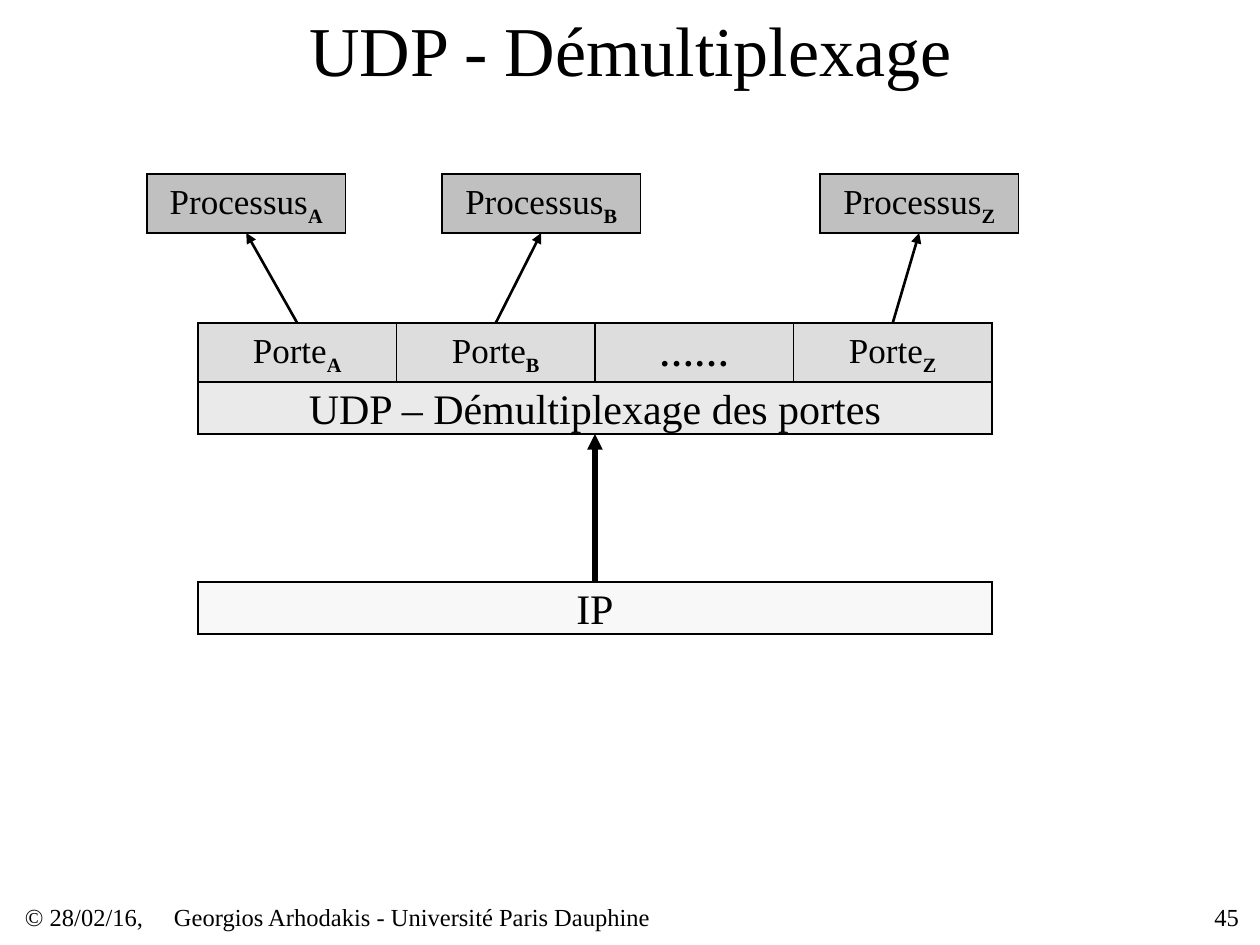
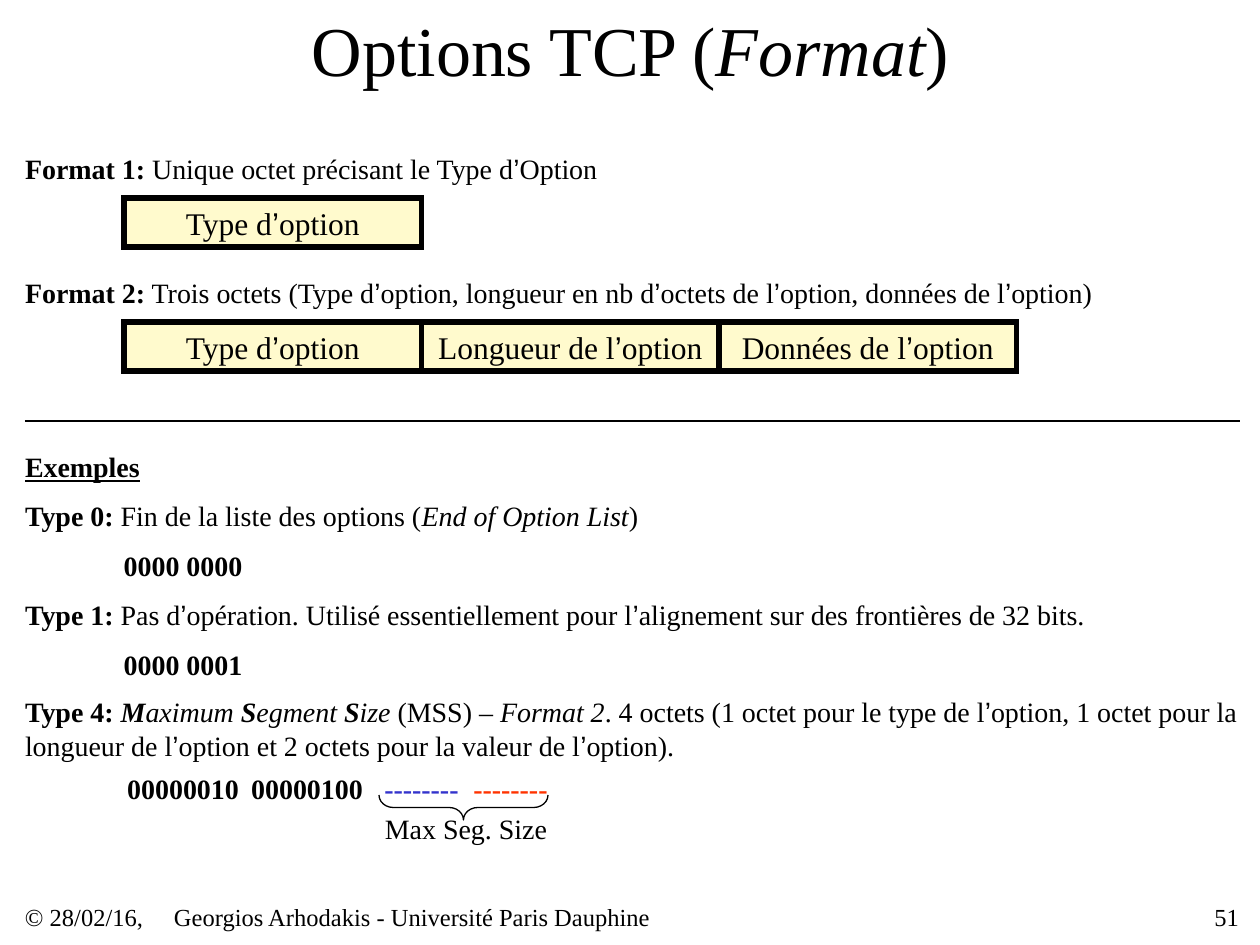
from itertools import groupby

from lxml.etree import SubElement
from pptx import Presentation
from pptx.dml.color import RGBColor
from pptx.enum.shapes import MSO_CONNECTOR, MSO_SHAPE
from pptx.enum.text import MSO_ANCHOR, PP_ALIGN
from pptx.oxml.ns import qn
from pptx.util import Emu, Inches, Pt

SERIF, SANS = "Times New Roman", "Arial"
BLACK = RGBColor(0x00, 0x00, 0x00)
SILVER = RGBColor(0xC0, 0xC0, 0xC0)
GREY = RGBColor(0xDD, 0xDD, 0xDD)
PALE = RGBColor(0xEA, 0xEA, 0xEA)
MIST = RGBColor(0xF8, 0xF8, 0xF8)
CREAM = RGBColor(0xFF, 0xFA, 0xCD)
BLUE = RGBColor(0x33, 0x33, 0xCC)
RED = RGBColor(0xFF, 0x33, 0x00)
LEFT, MID, RIGHT = PP_ALIGN.LEFT, PP_ALIGN.CENTER, PP_ALIGN.RIGHT

EDGE, WIDTH = 25, 1215  # page margin and text width
LINE = 39  # height of a line of text
SLACK = 6  # spare room on each side of a code


def px(*sizes):
    """Turn lengths at 126 px to the inch into EMU."""
    return [Emu(round(size * 914400 / 126)) for size in sizes]


def write(shape, runs, size, align=LEFT, color=BLACK, bold=None,
          inset=(0, 0, 0, 0)):
    """Fill a shape with runs: (text, style), style letters from b, i, u, s (subscript)."""
    frame = shape.text_frame
    frame.word_wrap = True
    frame.vertical_anchor = MSO_ANCHOR.MIDDLE
    (frame.margin_left, frame.margin_top,
     frame.margin_right, frame.margin_bottom) = px(*inset)
    para = frame.paragraphs[0]
    para.alignment = align
    font = para.font
    font.name, font.size, font.bold = SERIF, Pt(size), bold
    font.color.rgb = color
    for text, style in [(runs, "")] if isinstance(runs, str) else runs:
        for quote, chars in groupby(text, lambda char: char == "’"):
            run = para.add_run()
            run.text = "".join(chars)
            if quote:
                run.font.name = SANS
            if "b" in style:
                run.font.bold = True
            if "i" in style:
                run.font.italic = True
            if "u" in style:
                run.font.underline = True
            if "s" in style:
                run._r.get_or_add_rPr().set("baseline", "-25000")


def label(slide, box, runs, size=16, **look):
    write(slide.shapes.add_textbox(*px(*box)), runs, size, **look)


def block(slide, box, runs, size, fill, weight=0.75):
    shape = slide.shapes.add_shape(MSO_SHAPE.RECTANGLE, *px(*box))
    shape.shadow.inherit = False
    shape.fill.solid()
    shape.fill.fore_color.rgb = fill
    shape.line.color.rgb = BLACK
    shape.line.width = Pt(weight)
    SubElement(shape.line._get_or_add_ln(), qn("a:miter"), lim="800000")
    write(shape, runs, size, MID)


def link(slide, start, end, weight, arrow=True):
    line = slide.shapes.add_connector(MSO_CONNECTOR.STRAIGHT, *px(*start, *end))
    line.line.color.rgb = BLACK
    line.line.width = Pt(weight)
    if arrow:
        SubElement(line.line._get_or_add_ln(), qn("a:tailEnd"), type="triangle")
    SubElement(line._element.spPr, qn("a:effectLst"))


def page(deck, title, number):
    """Add a slide with its title and footer."""
    slide = deck.slides.add_slide(deck.slide_layouts[6])
    label(slide, (95, 0, 1071, 97), title, 40, align=MID, inset=(13, 6, 13, 6))
    for x, width, text, align in (
            (EDGE, 149, "© 28/02/16,", LEFT),
            (174, 743, "Georgios Arhodakis - Université Paris Dauphine", LEFT),
            (977, 262, number, RIGHT)):
        label(slide, (x, 902, width, 30), text, 14, align=align)
    return slide


def demux(slide, x, y, width):
    """Draw IP, UDP, the ports and, above them, the processes."""
    cell, tall, bar = width / 4, 59, 52
    ports, udp, ip = y + 149, y + 208, y + 408
    block(slide, (x, ip, width, bar), "IP", 24, MIST)
    block(slide, (x, udp, width, bar), "UDP – Démultiplexage des portes", 24, PALE)
    for slot, name, shift in ((0, "A", -51), (1, "B", 244), (2, "", 0), (3, "Z", 622)):
        left = x + slot * cell
        port = [("Porte", ""), (name, "bs")] if name else [("……", "b")]
        block(slide, (left, ports, cell, tall), port, 20, GREY)
        if name:
            top = x + shift
            block(slide, (top, y, cell, tall),
                  [("Processus", ""), (name, "bs")], 20, SILVER)
            link(slide, (left + cell / 2, ports), (top + cell / 2, y + tall), 1.5)
    link(slide, (x + width / 2, ip), (x + width / 2, udp + bar), 3)


def layout(slide, x, y, name, text, fields):
    """Describe one option format and draw its fields in a row."""
    cell = 595 / 2
    label(slide, (x, y, WIDTH, LINE), [(name, "b"), (text, "")])
    for slot, field in enumerate(fields):
        block(slide, (x + 99 + cell * slot, y + 49, cell, 49), field, 18, CREAM, 3)


def code(slide, left, top, text, width=118, color=BLACK):
    """Centre bits over a width, with slack so that they stay on one line."""
    label(slide, (left - SLACK, top, width + 2 * SLACK, LINE), text,
          align=MID, color=color, bold=True)


def samples(slide, x, y):
    """List the example options, one row a centimetre."""
    def row(index):
        return y + index * 248 // 5

    indent = x + 99
    label(slide, (x, row(0), WIDTH, LINE), [("Exemples", "bu")])
    label(slide, (x, row(1), WIDTH, LINE), [
        ("Type 0:", "b"), (" Fin de la liste des options (", ""),
        ("End of Option List", "i"), (")", "")])
    code(slide, indent, row(2), "0000 0000")
    label(slide, (x, row(3), WIDTH, LINE), [
        ("Type 1:", "b"),
        (" Pas d’opération. Utilisé essentiellement pour l’alignement"
         " sur des frontières de 32 bits.", "")])
    code(slide, indent, row(4), "0000 0001")
    label(slide, (x, row(5), WIDTH, 67), [
        ("Type 4: ", "b"), ("M", "bi"), ("aximum ", "i"), ("S", "bi"),
        ("egment ", "i"), ("S", "bi"), ("ize", "i"), (" (MSS) – ", ""),
        ("Format 2", "i"),
        (". 4 octets (1 octet pour le type de l’option, 1 octet pour la longueur"
         " de l’option et 2 octets pour la valeur de l’option).", "")])
    last = y + 322
    code(slide, indent, last, "00000010")
    code(slide, indent + 124, last, "00000100")
    size = indent + 248
    for left, color in ((size + 13, BLUE), (size + 102, RED)):
        code(slide, left, last, "--------", 73, color)
    label(slide, (size, last + 40, 179, LINE), "Max Seg. Size", inset=(13, 0, 0, 0))
    brace = slide.shapes.add_shape(MSO_SHAPE.LEFT_BRACE,
                                   *px(size + 79, last - 46, 25, 169))
    brace.rotation = 270
    brace.adjustments[0] = 0.57
    brace.shadow.inherit = False
    brace.fill.background()
    brace.line.color.rgb = BLACK
    brace.line.width = Pt(0.75)


def main():
    deck = Presentation()
    deck.slide_width, deck.slide_height = Inches(10), Inches(7.5)

    demux(page(deck, "UDP - Démultiplexage", "45"), 198, 174, 794)

    slide = page(deck, [("Options TCP (", ""), ("Format", "i"), (")", "")], "51")
    layout(slide, EDGE, 149, "Format 1:", " Unique octet précisant le Type d’Option",
           ["Type d’option"])
    layout(slide, EDGE, 273, "Format 2:",
           " Trois octets (Type d’option, longueur en nb d’octets de l’option,"
           " données de l’option)",
           ["Type d’option", "Longueur de l’option", "Données de l’option"])
    link(slide, (EDGE, 421), (EDGE + WIDTH, 421), 0.75, arrow=False)
    samples(slide, EDGE, 447)
    deck.save("out.pptx")


if __name__ == "__main__":
    main()
